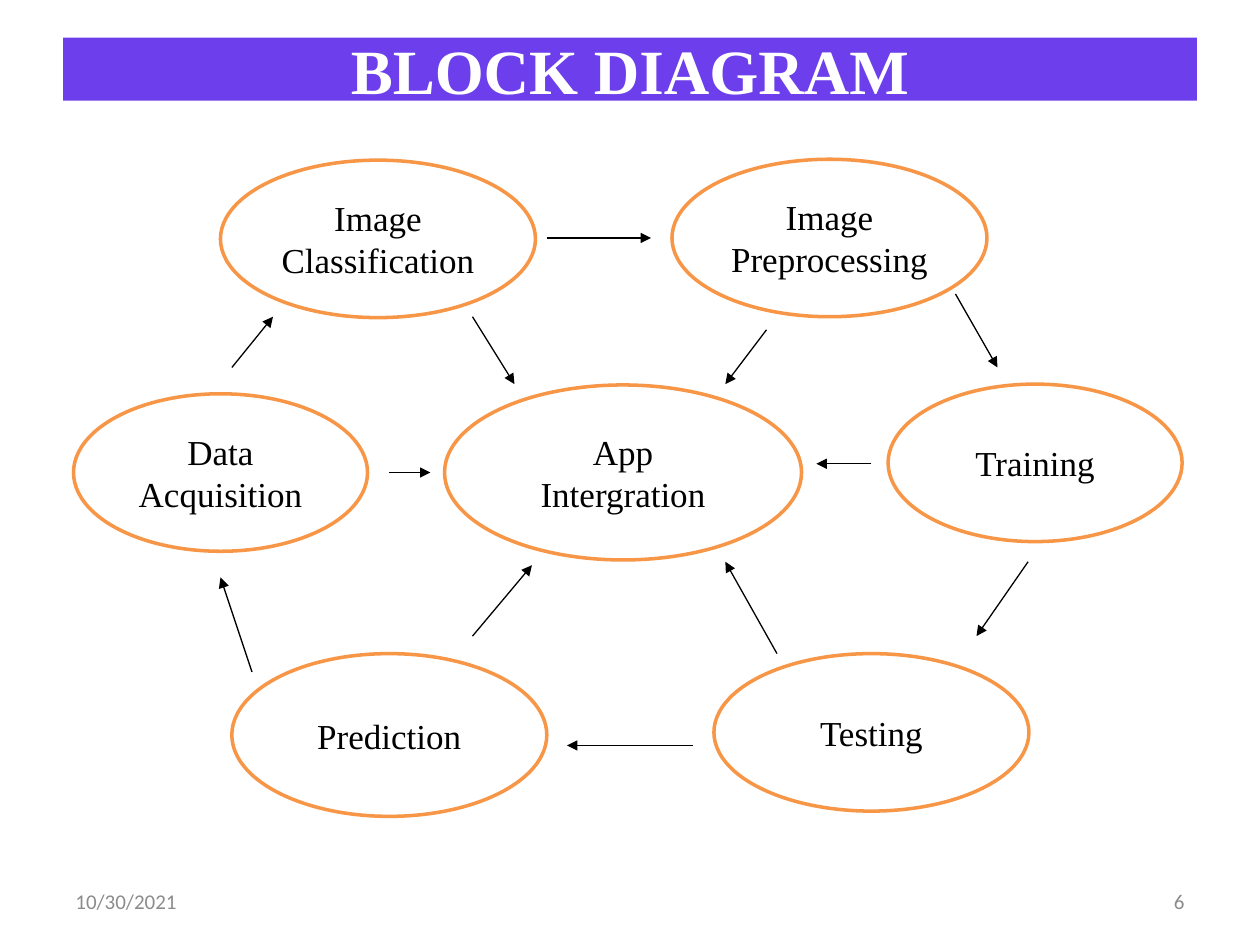
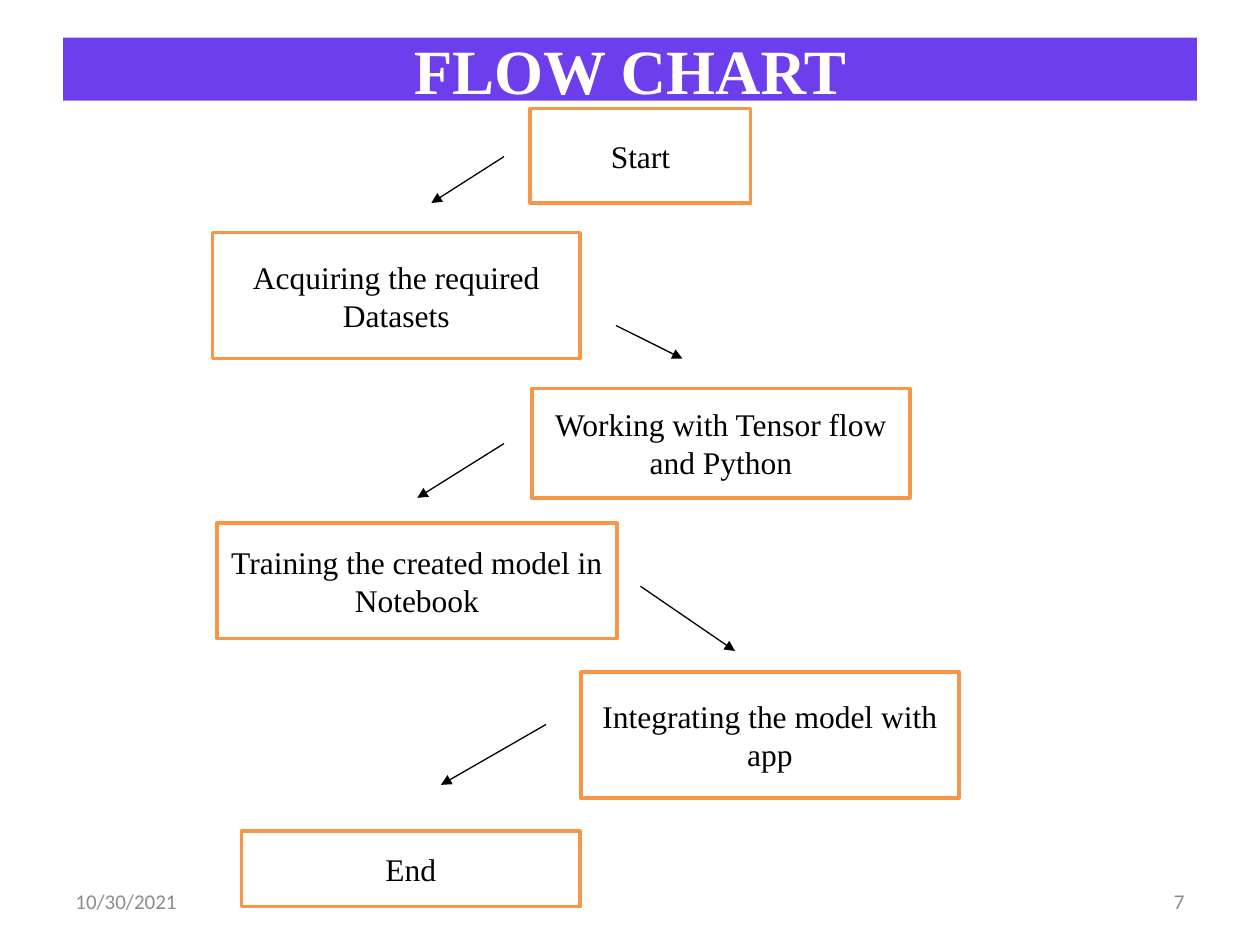
"""Build the block diagram and flow chart slides."""
from lxml import etree
from pptx import Presentation
from pptx.dml.color import RGBColor
from pptx.enum.shapes import MSO_CONNECTOR, MSO_SHAPE
from pptx.enum.text import MSO_ANCHOR, MSO_AUTO_SIZE, PP_ALIGN
from pptx.oxml.ns import qn
from pptx.util import Pt

ELLIPSE, RECTANGLE = MSO_SHAPE.OVAL, MSO_SHAPE.RECTANGLE
STRAIGHT = MSO_CONNECTOR.STRAIGHT
LEFT, CENTER, RIGHT = PP_ALIGN.LEFT, PP_ALIGN.CENTER, PP_ALIGN.RIGHT
MIDDLE, NO_AUTOFIT = MSO_ANCHOR.MIDDLE, MSO_AUTO_SIZE.NONE
TITLE_ONLY = 5
SERIF, SANS = "Times New Roman", "Calibri"
COLORS = {"band": "6C3EEC", "outline": "F79646", "paper": "FFFFFF",
          "ink": "000000", "footer": "8C8C8C"}
DATE = "10/30/2021"

STAGES = [
    ("Data Acquisition", 42, 225, 168, 90),
    ("Image Classification", 126, 91.5, 180, 90),
    ("Image Preprocessing", 384, 91, 180, 90),
    ("Training", 507.5, 219.5, 168, 90),
    ("Testing", 408, 373.5, 180, 90),
    ("App Intergration", 254, 220, 204, 100),
    ("Prediction", 132.5, 373.5, 180, 93),
]
CYCLE_ARROWS = [
    (132.5, 210, 156, 181),
    (312.5, 136, 372, 136),
    (546, 168, 570, 210),
    (587.5, 321, 558, 363.5),
    (396, 426, 324, 426),
    (144, 384, 126, 330),
]
APP_ARROWS = [
    (222.5, 270, 246, 270),
    (270, 181, 294, 219.5),
    (438, 188.5, 414.5, 219.5),
    (498, 265, 466.5, 265),
    (444, 373.5, 414.5, 321),
    (270, 363.5, 304, 323),
]
STEPS = [
    ("Start", 303, 62, 126, 54),
    ("Acquiring the required Datasets", 121.5, 133, 210, 72),
    ("Working with Tensor flow and Python", 304, 222, 216, 62.5),
    ("Training the created model in Notebook", 124, 299, 228.5, 66),
    ("Integrating the model with app", 332, 384, 216, 72),
    ("End", 138, 475, 193.5, 43),
]
STEP_ARROWS = [
    (288, 89.5, 246.5, 116),
    (352, 186, 390, 205),
    (288, 253.5, 238.5, 284.5),
    (366, 335, 420, 372),
    (312, 414, 252, 448.5),
]


def color(name):
    return RGBColor.from_string(COLORS[name])


def write_text(frame, text, size=20, font=SERIF, ink="ink", bold=False, align=CENTER):
    frame.word_wrap = True
    frame.auto_size = NO_AUTOFIT
    frame.vertical_anchor = MIDDLE
    para = frame.paragraphs[0]
    para.alignment = align
    span = para.add_run()
    span.text = text
    span.font.size = Pt(size)
    span.font.name = font
    span.font.bold = bold
    span.font.color.rgb = color(ink)


class DiagramDeck:
    def __init__(self):
        self.deck = Presentation()
        self.deck.slide_width, self.deck.slide_height = Pt(720), Pt(540)
        self.page = None

    def add_page(self, title, number):
        self.page = self.deck.slides.add_slide(self.deck.slide_layouts[TITLE_ONLY])
        self.footer(DATE, 36, LEFT)
        self.footer(str(number), 516, RIGHT)
        self.title(title)

    def title(self, text):
        band = self.page.shapes.title
        band.left, band.top, band.width, band.height = Pt(36), Pt(21.5), Pt(648), Pt(36)
        band.fill.solid()
        band.fill.fore_color.rgb = color("band")
        write_text(band.text_frame, text, size=36, ink="paper", bold=True)

    def footer(self, text, left, align):
        box = self.page.shapes.add_textbox(Pt(left), Pt(500.5), Pt(168), Pt(28.75))
        write_text(box.text_frame, text, size=12, font=SANS, ink="footer", align=align)

    def node(self, kind, text, left, top, width, height, size):
        box = self.page.shapes.add_shape(kind, Pt(left), Pt(top), Pt(width), Pt(height))
        box.shadow.inherit = False
        box.fill.solid()
        box.fill.fore_color.rgb = color("paper")
        box.line.color.rgb = color("outline")
        box.line.width = Pt(2)
        write_text(box.text_frame, text, size=size)

    def arrow(self, *ends):
        arrow = self.page.shapes.add_connector(STRAIGHT, *map(Pt, ends))
        arrow.line.color.rgb = color("ink")
        arrow.line.width = Pt(0.75)
        etree.SubElement(arrow.line._get_or_add_ln(), qn("a:tailEnd"), type="triangle")
        etree.SubElement(arrow._element.spPr, qn("a:effectLst"))

    def diagram(self, kind, nodes, arrows, size):
        for text, *place in nodes:
            self.node(kind, text, *place, size=size)
        for ends in arrows:
            self.arrow(*ends)


def main():
    slides = DiagramDeck()
    slides.add_page("BLOCK DIAGRAM", 6)
    slides.diagram(ELLIPSE, STAGES, CYCLE_ARROWS + APP_ARROWS, size=20)
    slides.add_page("FLOW CHART", 7)
    slides.diagram(RECTANGLE, STEPS, STEP_ARROWS, size=18)
    slides.deck.save("out.pptx")


if __name__ == "__main__":
    main()
